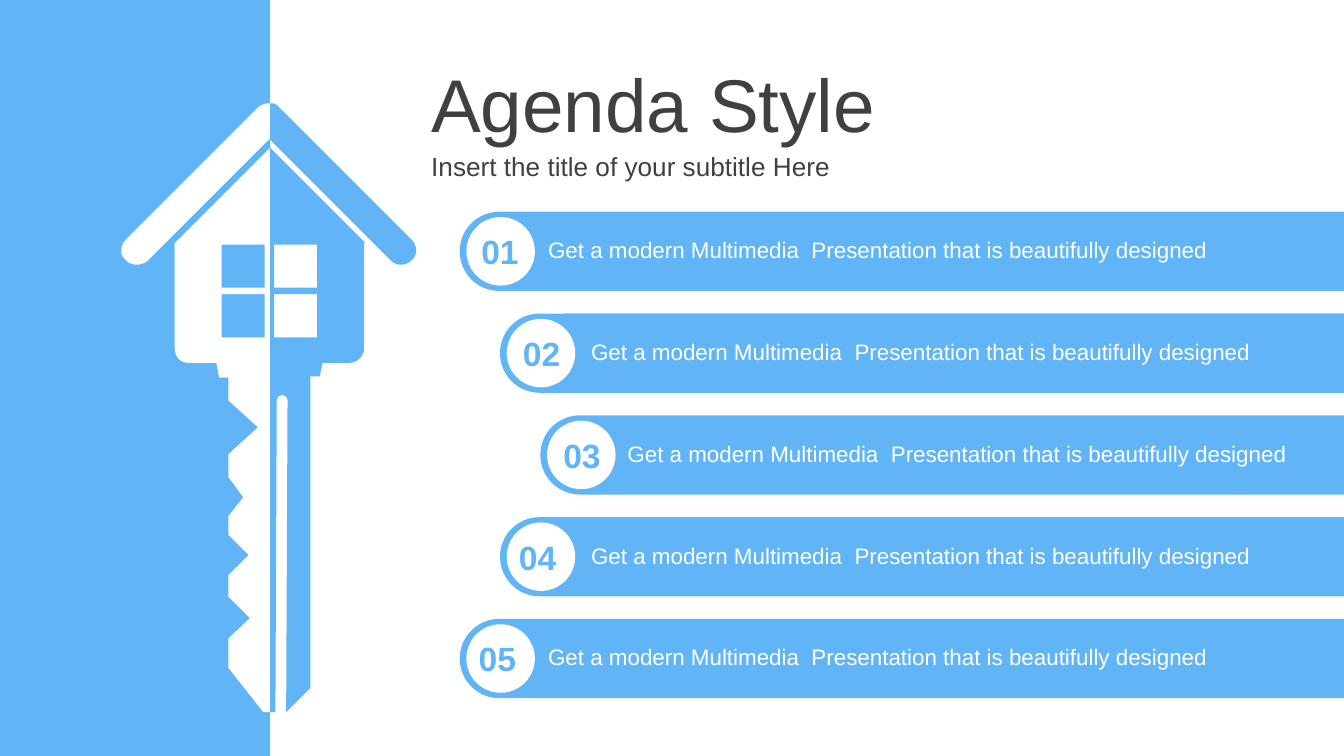
from typing import NamedTuple

from pptx import Presentation
from pptx.dml.color import RGBColor
from pptx.enum.shapes import MSO_SHAPE
from pptx.enum.text import MSO_ANCHOR, MSO_AUTO_SIZE, PP_ALIGN
from pptx.util import Inches, Pt

RECTANGLE, CIRCLE = MSO_SHAPE.RECTANGLE, MSO_SHAPE.OVAL
ROUND_END = MSO_SHAPE.ROUND_2_SAME_RECTANGLE
MIDDLE, TOP = MSO_ANCHOR.MIDDLE, MSO_ANCHOR.TOP
LEFT, CENTER = PP_ALIGN.LEFT, PP_ALIGN.CENTER
GROW, FIXED = MSO_AUTO_SIZE.SHAPE_TO_FIT_TEXT, MSO_AUTO_SIZE.NONE

BLUE, WHITE, GREY = "61B4F6", "FFFFFF", "404040"
SLIDE_W = 10
SLIDE_H = SLIDE_W * 9 / 16
SPLIT = 2.01                      # where the blue panel ends
HEADING_LEFT = 3.11

# Agenda grid: rows of equal pitch, columns that step to the right
FIRST_ROW, LAST_ROW = 1.87, 4.9
FIRST_COLUMN, COLUMN_STEP = 3.42, 0.3
BAR_H, DISC, DISC_GAP = 0.59, 0.51, 0.05
ITEM_TEXT = "Get a modern Multimedia  Presentation that is beautifully designed"


class Box(NamedTuple):
    left: float
    top: float
    width: float
    height: float


class TextStyle(NamedTuple):
    size: float
    color: str
    bold: bool = False
    align: PP_ALIGN = LEFT
    anchor: MSO_ANCHOR = TOP
    wrap: bool = True
    fit: MSO_AUTO_SIZE = GROW


class AgendaItem(NamedTuple):
    number: str
    column: int
    number_left: float
    label_left: float
    label_width: float = 5.47


class Curve(NamedTuple):
    """Bezier piece: two control points and the end point."""
    first: tuple
    second: tuple
    end: tuple


HEADING = TextStyle(40, GREY, anchor=MIDDLE, fit=FIXED)
SUBTITLE = HEADING._replace(size=14)
NUMBER = TextStyle(18, BLUE, bold=True, align=CENTER, wrap=False)
LABEL = TextStyle(12, WHITE)

AGENDA = [
    AgendaItem("01", 0, 3.48, 3.98),
    AgendaItem("02", 1, 3.79, 4.3),
    AgendaItem("03", 2, 4.09, 4.57, 5.28),
    AgendaItem("04", 1, 3.76, 4.3),
    AgendaItem("05", 0, 3.46, 3.98),
]
ROW_PITCH = (LAST_ROW - FIRST_ROW) / (len(AGENDA) - 1)

# Left half of the key: toothed blade, house wall, roof
LEFT_BLADE = [
    (1.7, 2.81), (SPLIT, 2.81), (SPLIT, 5.3), (1.96, 5.3), (1.7, 4.97),
    (1.7, 4.75), (1.86, 4.6), (1.7, 4.44), (1.7, 4.28), (1.85, 4.13),
    (1.7, 3.98), (1.7, 3.84), (1.81, 3.7), (1.7, 3.55), (1.7, 3.38),
    (1.92, 3.18), (1.7, 2.98)]
LEFT_WALL = [
    (SPLIT, 1.1), (SPLIT, 2.81), (1.63, 2.81), (1.61, 2.7), (1.4, 2.7),
    Curve((1.34, 2.7), (1.3, 2.65), (1.3, 2.59)), (1.3, 1.81)]
LEFT_ROOF = [
    (2, 0.77), (SPLIT, 0.77), (SPLIT, 1.04), (2, 1.04), (1.1, 1.94),
    Curve((1.05, 1.98), (0.98, 1.98), (0.94, 1.94)),
    Curve((0.89, 1.9), (0.89, 1.83), (0.94, 1.78)), (1.92, 0.8),
    Curve((1.94, 0.78), (1.97, 0.77), (2, 0.77))]

# Right half of the key: grooved blade, house wall, roof
RIGHT_BLADE = [
    (SPLIT, 2.8), (2.31, 2.8), (2.31, 5.12), (2.13, 5.3), (2.14, 2.98),
    Curve((2.14, 2.96), (2.12, 2.94), (2.1, 2.94)),
    Curve((2.08, 2.94), (2.06, 2.96), (2.06, 2.98)), (2.05, 5.3), (SPLIT, 5.3)]
RIGHT_WALL = [
    (SPLIT, 1.1), (2.72, 1.81), (2.71, 1.81), (2.71, 2.59),
    Curve((2.71, 2.65), (2.66, 2.7), (2.6, 2.7)), (2.4, 2.7), (2.38, 2.8),
    (SPLIT, 2.8)]
RIGHT_ROOF = [
    (SPLIT, 0.77), (2.04, 0.77), Curve((2.06, 0.78), (2.07, 0.79), (2.08, 0.8)),
    (3.06, 1.78), Curve((3.11, 1.83), (3.11, 1.9), (3.06, 1.94)),
    Curve((3.02, 1.98), (2.95, 1.98), (2.91, 1.94)), (SPLIT, 1.04)]


def rgb(color: str) -> RGBColor:
    return RGBColor.from_string(color)


def paint(shape, color: str) -> None:
    shape.shadow.inherit = False
    shape.fill.solid()
    shape.fill.fore_color.rgb = rgb(color)
    shape.line.fill.background()


def add_block(shapes, kind: MSO_SHAPE, box: Box, color: str):
    block = shapes.add_shape(kind, *map(Inches, box))
    paint(block, color)
    return block


def add_text(shapes, text: str, box: Box, style: TextStyle) -> None:
    frame = shapes.add_textbox(*map(Inches, box)).text_frame
    frame_format = {"word_wrap": style.wrap, "auto_size": style.fit,
                    "vertical_anchor": style.anchor}
    for name, value in frame_format.items():
        setattr(frame, name, value)
    paragraph = frame.paragraphs[0]
    paragraph.alignment = style.align
    run = paragraph.add_run()
    run.text = text
    font_format = {"name": "Arial", "size": Pt(style.size), "bold": style.bold}
    for name, value in font_format.items():
        setattr(run.font, name, value)
    run.font.color.rgb = rgb(style.color)


def flatten(outline: list, steps: int = 10) -> list:
    """Turn an outline into plain points in EMU, sampling its curves."""
    points = []
    for piece in outline:
        if not isinstance(piece, Curve):
            points.append(piece)
            continue
        controls = (points[-1], *piece)
        for step in range(1, steps + 1):
            t = step / steps
            weights = ((1 - t) ** 3, 3 * t * (1 - t) ** 2, 3 * t * t * (1 - t), t ** 3)
            points.append(tuple(sum(w * c[axis] for w, c in zip(weights, controls))
                                for axis in (0, 1)))
    return [(Inches(x), Inches(y)) for x, y in points]


def window_panes(left: float, side: float = 0.32) -> list:
    return [[(left, top), (left, top + side), (left + side, top + side),
             (left + side, top)] for top in (1.82, 2.19)]


def add_key_half(shapes, outlines: list, color: str) -> None:
    contours = [flatten(outline) for outline in outlines]
    builder = shapes.build_freeform(*contours[0][0], scale=1.0)
    for index, (start, *rest) in enumerate(contours):
        if index:
            builder.move_to(*start)
        builder.add_line_segments(rest, close=True)
    paint(builder.convert_to_shape(), color)


def add_agenda_item(shapes, item: AgendaItem, row: int) -> None:
    middle = FIRST_ROW + row * ROW_PITCH
    left = FIRST_COLUMN + item.column * COLUMN_STEP
    length = SLIDE_W - left
    # The bar stands upright and is turned so its round end faces left
    upright = Box(left + (length - BAR_H) / 2, middle - length / 2, BAR_H, length)
    bar = add_block(shapes, ROUND_END, upright, BLUE)
    bar.rotation = 270
    bar.adjustments[0], bar.adjustments[1] = 0.5, 0
    add_block(shapes, CIRCLE, Box(left + DISC_GAP, middle - DISC / 2, DISC, DISC), WHITE)
    add_text(shapes, item.number, Box(item.number_left, middle - 0.2, 0.48, 0.4), NUMBER)
    add_text(shapes, ITEM_TEXT,
             Box(item.label_left, middle - 0.16, item.label_width, 0.3), LABEL)


def main() -> None:
    deck = Presentation()
    deck.slide_width, deck.slide_height = Inches(SLIDE_W), Inches(SLIDE_H)
    shapes = deck.slides.add_slide(deck.slide_layouts[6]).shapes

    # Blue panel and the two-tone house key
    add_block(shapes, RECTANGLE, Box(0, 0, SPLIT, SLIDE_H), BLUE)
    add_key_half(shapes, [LEFT_BLADE, *window_panes(1.65), LEFT_WALL, LEFT_ROOF], WHITE)
    add_key_half(shapes, [RIGHT_BLADE, *window_panes(2.04), RIGHT_WALL, RIGHT_ROOF], BLUE)

    # Heading
    heading_width = SLIDE_W - HEADING_LEFT
    add_text(shapes, "Agenda Style", Box(HEADING_LEFT, 0.45, heading_width, 0.63), HEADING)
    add_text(shapes, "Insert the title of your subtitle Here",
             Box(HEADING_LEFT, 1.08, heading_width, 0.31), SUBTITLE)

    # Agenda
    for row, item in enumerate(AGENDA):
        add_agenda_item(shapes, item, row)

    deck.save("out.pptx")


if __name__ == "__main__":
    main()
